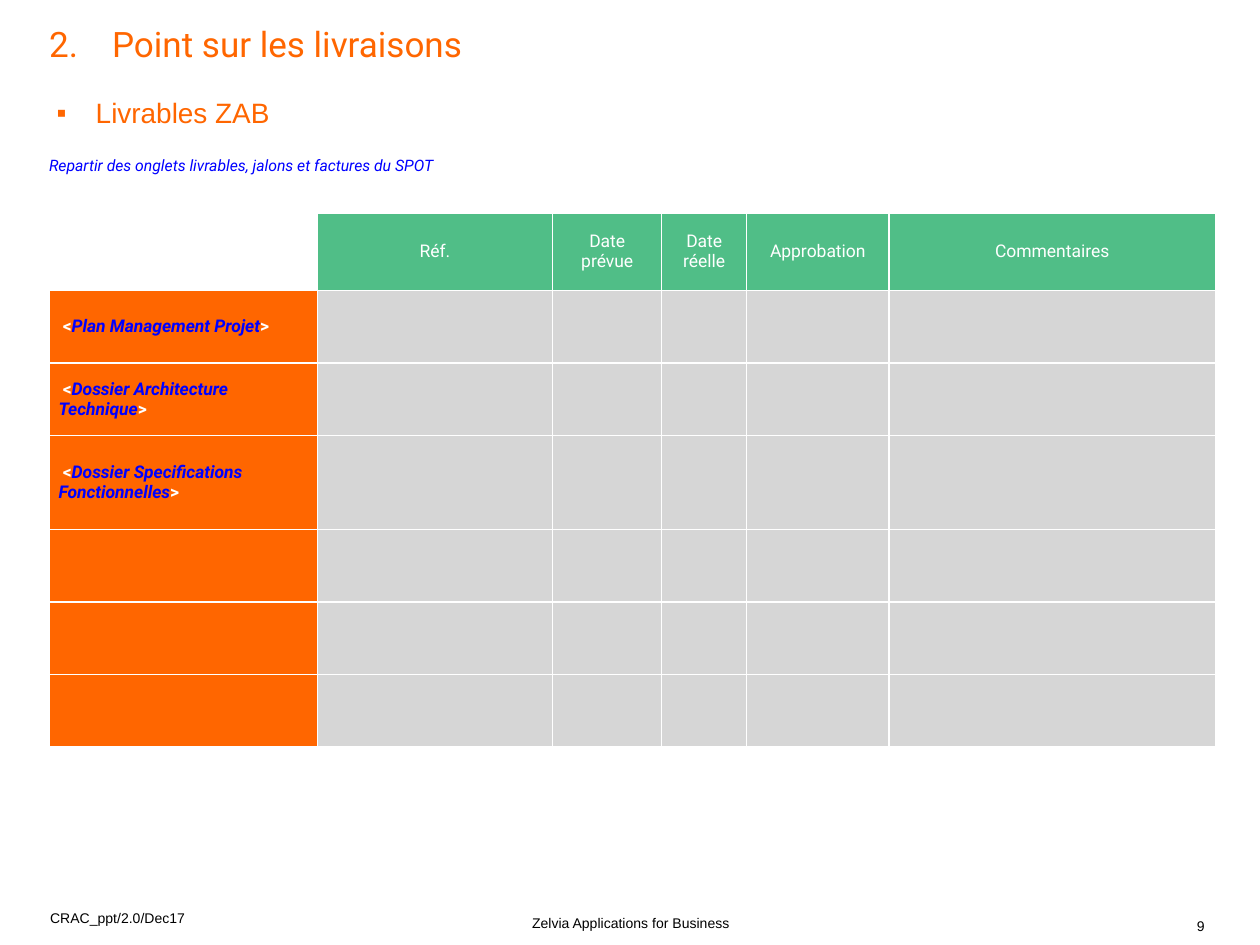
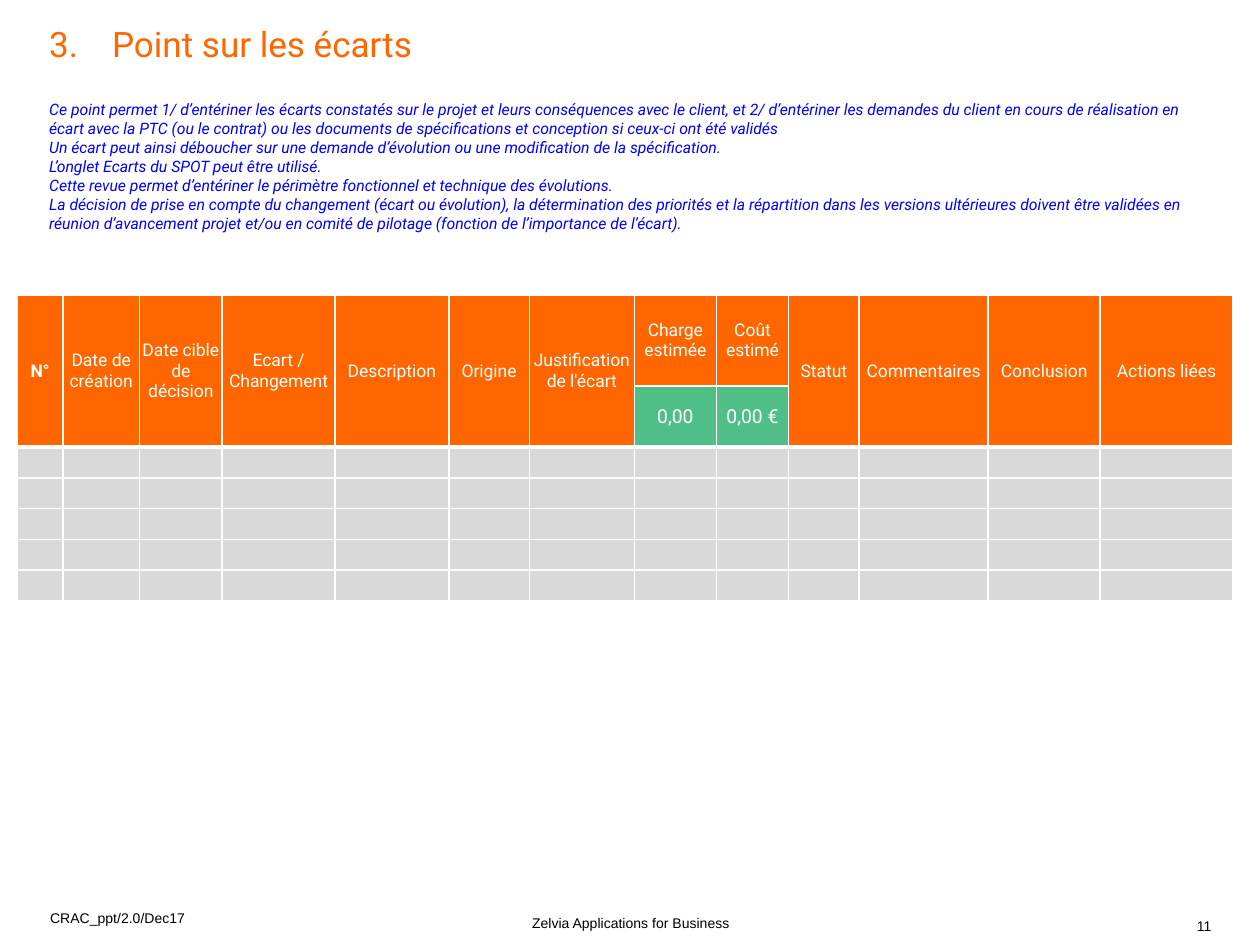
"""Build the delivery and deviation review slides of a project meeting."""
import pptx
import pptx.dml.color
import pptx.enum.text
import pptx.oxml
import pptx.oxml.ns
import pptx.util

Cm = pptx.util.Cm
Pt = pptx.util.Pt
RGBColor = pptx.dml.color.RGBColor
Align = pptx.enum.text.PP_ALIGN
Anchor = pptx.enum.text.MSO_ANCHOR

ORANGE = RGBColor(0xFF, 0x66, 0x00)
GREEN = RGBColor(0x50, 0xBE, 0x87)
BLUE = RGBColor(0x00, 0x00, 0xFF)
WHITE = RGBColor(0xFF, 0xFF, 0xFF)
BLACK = RGBColor(0x00, 0x00, 0x00)
DELIVERY_GREY = RGBColor(0xD6, 0xD6, 0xD6)
DEVIATION_GREY = RGBColor(0xD9, 0xD9, 0xD9)
NAMESPACE = pptx.oxml.ns.nsdecls("a")
NO_BULLET = f"<a:buNone {NAMESPACE}/>"
SQUARE_BULLET = f'<a:buChar {NAMESPACE} char="▪"/>'
TITLE_TAB = f'<a:tabLst {NAMESPACE}><a:tab pos="{Cm(1.6)}" algn="l"/></a:tabLst>'


def write_text(shape, box, lines, font_name, size, color, italic=False,
               align=Align.LEFT, anchor=Anchor.TOP, wrap=True, spacing=1.0,
               indent=0, markup=(NO_BULLET,)):
    """Place a shape and fill it with evenly formatted paragraphs."""
    shape.left, shape.top, shape.width, shape.height = [Cm(length) for length in box]
    frame = shape.text_frame
    frame.margin_left = frame.margin_right = frame.margin_top = frame.margin_bottom = 0
    frame.auto_size = pptx.enum.text.MSO_AUTO_SIZE.NONE
    frame.word_wrap = wrap
    frame.vertical_anchor = anchor
    frame.text = "\n".join(lines)
    for paragraph in frame.paragraphs:
        properties = paragraph._p.get_or_add_pPr()
        properties.set("marL", str(Cm(indent)))
        properties.set("indent", str(-Cm(indent)))
        for element in markup:
            properties.append(pptx.oxml.parse_xml(element))
        paragraph.alignment = align
        paragraph.line_spacing = spacing
        paragraph.space_before = paragraph.space_after = Pt(0)
        paragraph.font.name = font_name
        paragraph.font.size = Pt(size)
        paragraph.font.color.rgb = color
        paragraph.font.italic = italic
        paragraph.font.bold = False


def format_cell(cell, fill, runs=(), size=10, bold=False, align=Align.CENTER,
                side_margin=0, top_border=1, bottom_border=1):
    """Give a cell white borders, a fill and runs of (text, colour, italic)."""
    properties = cell._tc.get_or_add_tcPr()
    for side, width in zip("LRTB", (1, 1, top_border, bottom_border)):
        properties.append(pptx.oxml.parse_xml(
            f'<a:ln{side} {NAMESPACE} w="{Pt(width)}"><a:solidFill>'
            f'<a:srgbClr val="{WHITE}"/></a:solidFill></a:ln{side}>'))
    if fill is None:
        cell.fill.background()
    else:
        cell.fill.solid()
        cell.fill.fore_color.rgb = fill
    cell.margin_left = cell.margin_right = Cm(side_margin)
    cell.margin_top = cell.margin_bottom = 0
    cell.vertical_anchor = Anchor.MIDDLE
    paragraph = cell.text_frame.paragraphs[0]
    paragraph.alignment = align
    paragraph.font.name = "Roboto"
    paragraph.font.size = Pt(size)
    paragraph.font.bold = bold
    for text, color, italic in runs:
        run = paragraph.add_run()
        run.text = text
        run.font.color.rgb = color
        run.font.italic = italic


presentation = pptx.Presentation()
presentation.slide_width = Cm(25.4)
presentation.slide_height = Cm(19.05)

tables = []
slides = []
for title, page, left, top, widths, heights in (
    ("2.\tPoint sur les livraisons", "9", 1.0, 4.29,
     (5.4, 4.74, 2.2, 1.71, 2.87, 6.58),
     (1.57, 1.46, 1.46, 1.89, 1.47, 1.46, 1.46)),
    ("3.\tPoint sur les écarts", "11", 0.35, 5.95,
     (0.92, 1.54, 1.67, 2.27, 2.3, 1.62, 2.12, 1.65, 1.46, 1.42, 2.6, 2.26, 2.67),
     (1.83, 1.21) + (0.62,) * 5),
):
    slide = presentation.slides.add_slide(presentation.slide_layouts[1])
    slides.append(slide)
    write_text(slide.shapes.title, (0.99, 0.54, 23.52, 2.29), [title], "Roboto", 20,
               ORANGE, spacing=0.9, markup=(NO_BULLET, TITLE_TAB))
    for text, box, align, anchor, wrap in (
        ("CRAC_ppt/2.0/Dec17", (1.01, 18.34, 2.8, 0.53), Align.LEFT, Anchor.TOP, False),
        ("Zelvia Applications for Business", (8.3, 18.4, 8.84, 0.4),
         Align.CENTER, Anchor.MIDDLE, True),
        (page, (24.13, 18.44, 0.76, 0.4), Align.LEFT, Anchor.BOTTOM, True),
    ):
        write_text(slide.shapes.add_textbox(0, 0, 0, 0), box, [text], "Arial", 8,
                   BLACK, align=align, anchor=anchor, wrap=wrap)
    table = slide.shapes.add_table(len(heights), len(widths), Cm(left), Cm(top),
                                   Cm(sum(widths)), Cm(sum(heights))).table
    table.first_row = False
    table.horz_banding = False
    for column, width in zip(table.columns, widths):
        column.width = Cm(width)
    for row, height in zip(table.rows, heights):
        row.height = Cm(height)
    tables.append(table)

delivery_slide, deviation_slide = slides
delivery_table, deviation_table = tables

write_text(delivery_slide.placeholders[1], (1.14, 2.01, 23.52, 1), ["Livrables ZAB"],
           "Arial", 16, ORANGE, spacing=0.9, indent=0.79, markup=(SQUARE_BULLET,))
write_text(delivery_slide.shapes.add_textbox(0, 0, 0, 0), (0.99, 3.15, 23.52, 0.74),
           ["Repartir des onglets livrables, jalons et factures du SPOT"],
           "Roboto", 9, BLUE, italic=True)

delivery_headers = ("", "Réf.", "Date prévue", "Date réelle", "Approbation", "Commentaires")
for column, header in enumerate(delivery_headers):
    format_cell(delivery_table.cell(0, column), GREEN if header else None,
                [(header, WHITE, False)] if header else (), side_margin=0.18)

deliverables = ("Plan Management Projet", "Dossier Architecture Technique",
                "Dossier Specifications Fonctionnelles", "", "", "")
for row, deliverable in enumerate(deliverables, start=1):
    label = [(" <", WHITE, False), (deliverable, BLUE, True), (">", WHITE, False)]
    format_cell(delivery_table.cell(row, 0), ORANGE, label if deliverable else (),
                bold=True, align=Align.LEFT, side_margin=0.18)
    for column in range(1, len(delivery_headers)):
        format_cell(delivery_table.cell(row, column), DELIVERY_GREY)

write_text(deviation_slide.placeholders[1], (0.99, 2.01, 23.52, 3.6), [
    "Ce point permet 1/ d’entériner les écarts constatés sur le projet et leurs "
    "conséquences avec le client, et 2/ d’entériner les demandes du client en cours de "
    "réalisation en écart avec la PTC (ou le contrat) ou les documents de spécifications "
    "et conception si ceux-ci ont été validés",
    "Un écart peut ainsi déboucher sur une demande d’évolution ou une modification de la "
    "spécification.",
    "L’onglet Ecarts du SPOT peut être utilisé.",
    "Cette revue permet d’entériner le périmètre fonctionnel et technique des évolutions.",
    "La décision de prise en compte du changement (écart ou évolution), la détermination "
    "des priorités et la répartition dans les versions ultérieures doivent être validées "
    "en réunion d’avancement projet et/ou en comité de pilotage (fonction de l’importance "
    "de l’écart).",
], "Roboto", 9, BLUE, italic=True)

deviation_headers = ("N°", "Date de création", "Date cible de décision",
                     "Ecart / Changement", "Description", "Origine",
                     "Justification de l'écart", "Charge estimée", "Coût estimé",
                     "Statut", "Commentaires", "Conclusion", "Actions liées")
totals = {"Charge estimée": "0,00", "Coût estimé": "0,00 €"}
for column, header in enumerate(deviation_headers):
    header_cell = deviation_table.cell(0, column)
    total_cell = deviation_table.cell(1, column)
    has_total = header in totals
    format_cell(header_cell, ORANGE, [(header, WHITE, False)], bold=header == "N°",
                bottom_border=1 if has_total else 3)
    if has_total:
        format_cell(total_cell, GREEN, [(totals[header], WHITE, False)], size=11,
                    bottom_border=3)
    else:
        format_cell(total_cell, ORANGE, bottom_border=3)
        header_cell.merge(total_cell)
    for row in range(2, len(deviation_table.rows)):
        format_cell(deviation_table.cell(row, column), DEVIATION_GREY,
                    top_border=3 if row == 2 else 1)

presentation.save("out.pptx")
